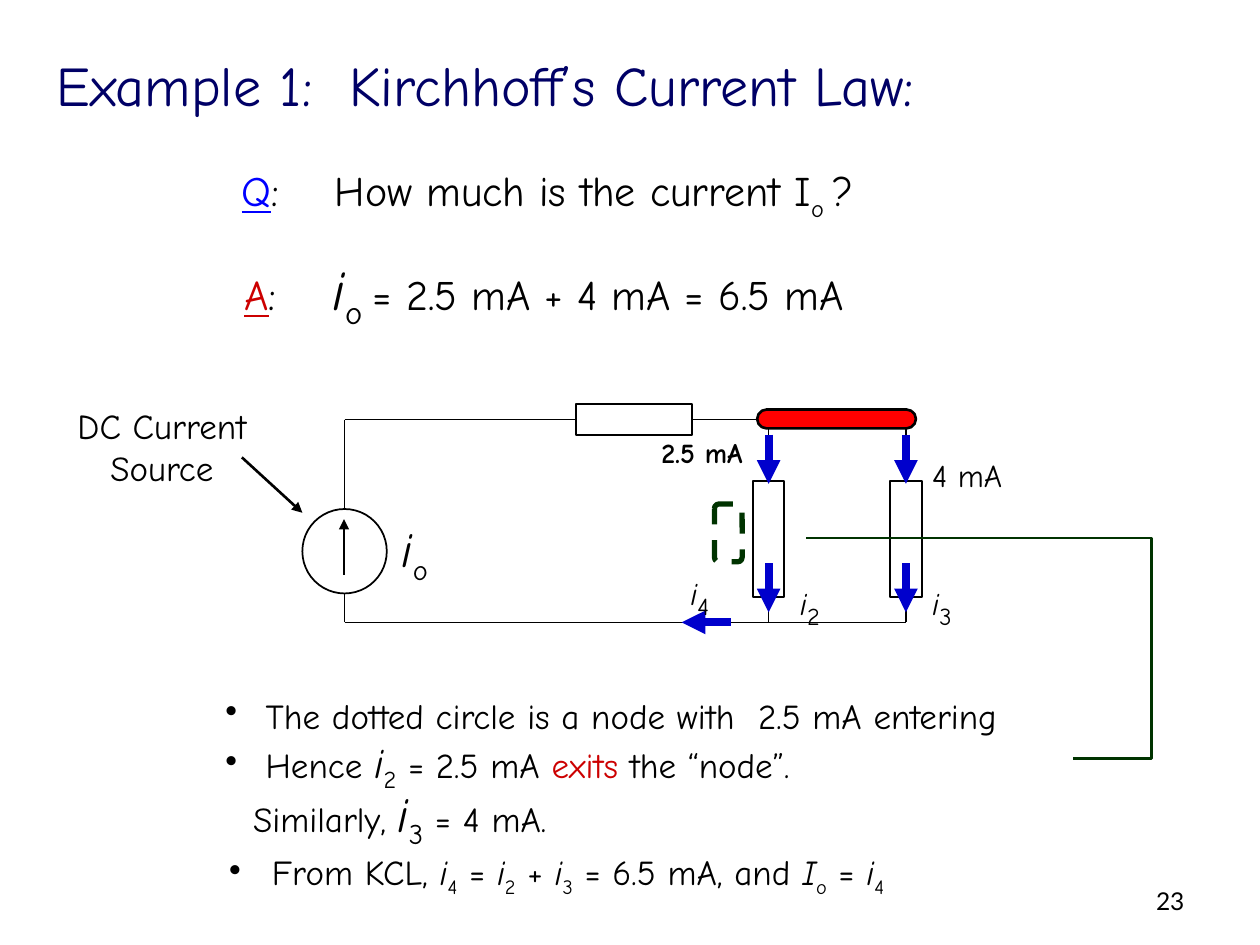
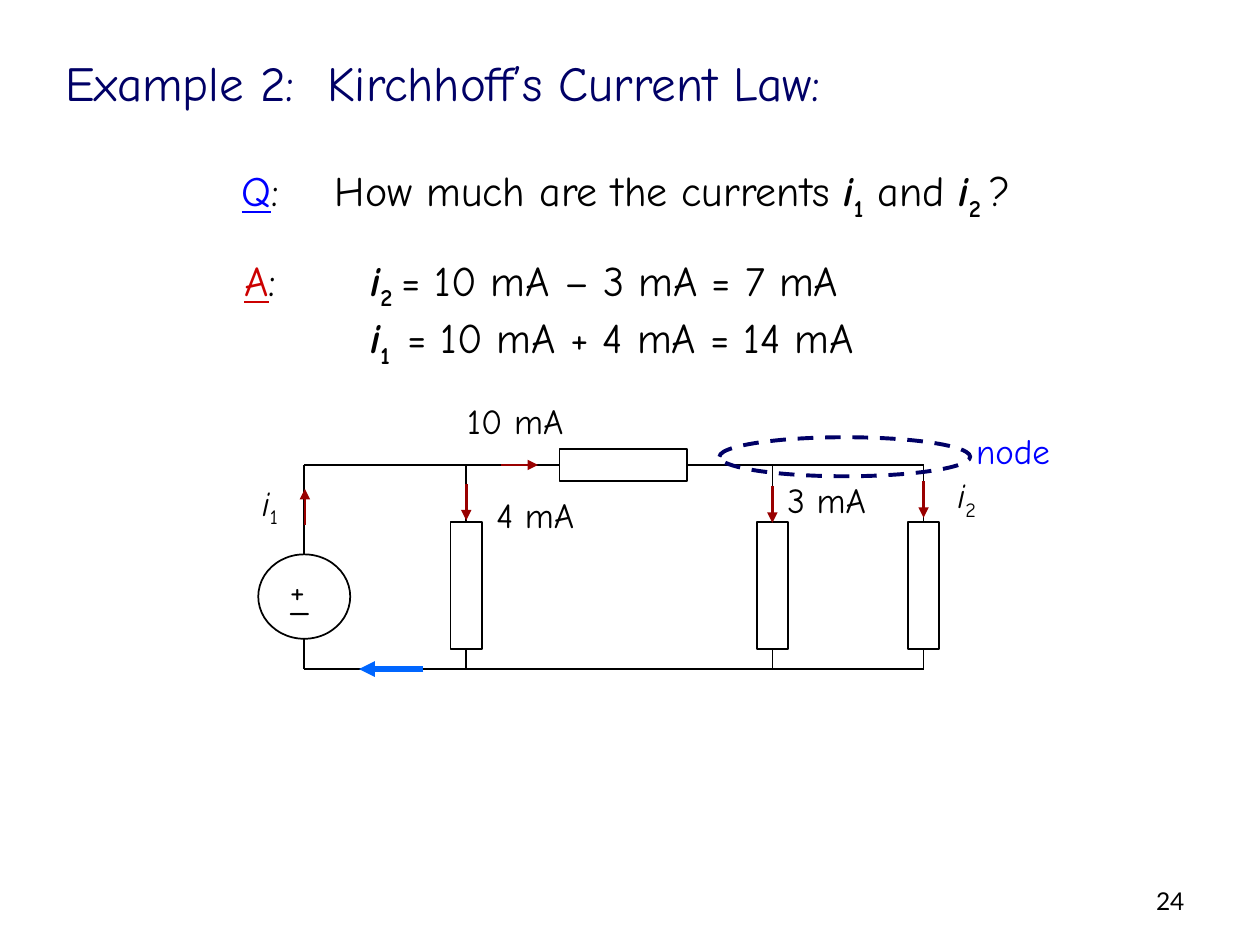
import pptx
import pptx.util
import pptx.dml.color
import pptx.enum.dml
import pptx.enum.shapes
import pptx.enum.text
import pptx.oxml
import pptx.oxml.ns

Inches = pptx.util.Inches
Pt = pptx.util.Pt
qn = pptx.oxml.ns.qn
SHAPE = pptx.enum.shapes.MSO_SHAPE
LINK = pptx.enum.shapes.MSO_CONNECTOR
ALIGN = pptx.enum.text.PP_ALIGN
ANCHOR = pptx.enum.text.MSO_ANCHOR
FIT = pptx.enum.text.MSO_AUTO_SIZE

FACE = "Comic Neue"
BLACK, WHITE, NAVY, BLUE = "000000", "FFFFFF", "000066", "0000FF"
RED, MAROON, GREEN, FLOW = "CC0000", "990000", "003300", "0000CC"
TOP, LEFT, BOTTOM, RIGHT = range(4)
THICK = 0.25  # resistor width


def tint(code):
    return pptx.dml.color.RGBColor.from_string(code)


def add(parent, tag, **attrs):
    node = parent.makeelement(qn(tag), attrs)
    parent.append(node)
    return node


# Text
def text(par, words, size=20, color=BLACK, font=FACE, bold=False,
         italic=False, under=False, sub=False):
    run = par.add_run()
    run.text = words
    style = run.font
    style.name, style.size = font, Pt(size)
    style.bold, style.italic, style.underline = bold, italic, under
    style.color.rgb = tint(color)
    if sub:
        run._r.get_or_add_rPr().set("baseline", "-25000")


def var(par, name, low, size=20, low_size=None, bold=False):
    """Italic symbol with its subscript."""
    text(par, name, size=size, italic=True, bold=bold)
    text(par, low, size=low_size or size, sub=True, bold=bold)


def box(slide, at, align=ALIGN.LEFT, wrap=False):
    """Text box; gives back its first paragraph and its frame."""
    frame = slide.shapes.add_textbox(*map(Inches, at)).text_frame
    frame.word_wrap = wrap
    frame.auto_size = FIT.SHAPE_TO_FIT_TEXT
    frame.paragraphs[0].alignment = align
    return frame.paragraphs[0], frame


def label(slide, at, words, align=ALIGN.LEFT, wrap=False, **style):
    par, frame = box(slide, at, align, wrap)
    text(par, words, **style)
    return frame


def symbol(slide, at, name, low, **style):
    var(box(slide, at)[0], name, low, **style)


def tab(par, stop):
    tabs = add(par._p.get_or_add_pPr(), "a:tabLst")
    add(tabs, "a:tab", pos=str(Inches(stop)), algn="l")


def indent(par, left, dot=True):
    props = par._p.get_or_add_pPr()
    props.set("marL", str(Inches(left)))
    props.set("indent", str(-Inches(left) if dot else 0))
    if dot:
        add(props, "a:buChar", char="•")


def prompt(slide, at, letter, color, stop):
    """Underlined Q or A, then a tab to where the sentence starts."""
    par, frame = box(slide, at, wrap=True)
    tab(par, stop)
    text(par, letter, size=24, color=color, under=True)
    text(par, ":\t", size=24)
    return par, frame


# Shapes and lines
def shape(slide, kind, at, fill=WHITE, line=BLACK, width=1, dash=False):
    item = slide.shapes.add_shape(kind, *map(Inches, at))
    item.shadow.inherit = False
    if fill:
        item.fill.solid()
        item.fill.fore_color.rgb = tint(fill)
    else:
        item.fill.background()
    item.line.color.rgb = tint(line)
    item.line.width = Pt(width)
    if dash:
        item.line.dash_style = pptx.enum.dml.MSO_LINE.DASH
    return item


def wire(slide, start, end, color=BLACK, width=1, head=False,
         kind=LINK.STRAIGHT, first=None, last=None):
    link = slide.shapes.add_connector(kind, *map(Inches, (*start, *end)))
    if first:
        link.begin_connect(*first)
    if last:
        link.end_connect(*last)
    link.line.color.rgb = tint(color)
    link.line.width = Pt(width)
    if head:
        add(link.line._get_or_add_ln(), "a:tailEnd", type="triangle")
    add(link._element.spPr, "a:effectLst")
    return link


def arrow(slide, start, dx=0, dy=0, color=FLOW, width=4.5):
    end = (start[0] + dx, start[1] + dy)
    wire(slide, start, end, color, width, head=True)


# Circuit
def branch(slide, x, rail, base, drop, span):
    """Upright resistor wired to the top and bottom rails."""
    top = rail + drop
    part = shape(slide, SHAPE.RECTANGLE, (x - THICK / 2, top, THICK, span))
    wire(slide, (x, rail), (x, top), last=(part, TOP))
    wire(slide, (x, base), (x, top + span), last=(part, BOTTOM))


def circuit(slide, source, rail, base, series, span, drop, branches):
    left, top, wide, high = source
    mid, right = left + wide / 2, branches[-1]
    shape(slide, SHAPE.OVAL, source)
    wire(slide, (mid, rail), (mid, top))
    wire(slide, (mid, base), (mid, top + high))
    wire(slide, (mid, base), (right, base))
    part = shape(slide, SHAPE.RECTANGLE,
                 (series, rail - THICK / 2, span, THICK))
    wire(slide, (mid, rail), (series, rail), last=(part, LEFT))
    wire(slide, (series + span, rail), (right, rail), first=(part, RIGHT))
    for x in branches:
        branch(slide, x, rail, base, drop, span)


# Title and page number
def page(deck, number, title, at, size):
    slide = deck.slides.add_slide(deck.slide_layouts[5])
    head = slide.shapes.title
    head.left, head.top, head.width, head.height = map(Inches, at)
    frame = head.text_frame
    frame.word_wrap = False
    frame.auto_size = FIT.NONE
    frame.vertical_anchor = ANCHOR.TOP
    frame.paragraphs[0].alignment = ALIGN.LEFT
    text(frame.paragraphs[0], title, size=size, color=NAVY)
    foot = label(slide, (7.17, 6.95, 2.33, 0.4), str(number),
                 align=ALIGN.RIGHT, wrap=True, size=14, font="Lato")
    foot.auto_size = FIT.NONE
    foot.vertical_anchor = ANCHOR.MIDDLE
    return slide


def first(deck):
    slide = page(deck, 23, "Example 1:  Kirchhoff’s Current Law:",
                 (0.35, 0.35, 7.85, 0.64), 32)

    # Question and answer
    par, _ = prompt(slide, (1.82, 1.26, 6.02, 0.5), "Q", BLUE, 0.74)
    text(par, "How much is the current I", size=24)
    text(par, "o ", size=24, sub=True)
    text(par, "?", size=24)
    par, _ = prompt(slide, (1.84, 1.97, 5.83, 0.63), "A", RED, 0.7)
    var(par, "i", "o ", size=32)
    text(par, "= 2.5 mA + 4 mA = 6.5 mA", size=24)

    # Circuit with its red node
    rail, base, near, far = 3.33, 4.94, 6.1, 7.19
    circuit(slide, (2.4, 4.04, 0.67, 0.67), rail, base, series=4.57,
            span=0.92, drop=0.49, branches=(near, far))
    node = shape(slide, SHAPE.ROUNDED_RECTANGLE, (6.01, 3.25, 1.26, 0.15),
                 fill="FF0000", width=1.5)
    node.adjustments[0] = 0.5

    # Currents
    for x in (near, far):
        for y in (3.45, 4.47):
            arrow(slide, (x, y), dy=0.39)
    arrow(slide, (5.8, base), dx=-0.39)
    arrow(slide, (2.73, 4.56), dy=-0.44, color=BLACK, width=1.5)
    label(slide, (5.15, 3.41, 1.01, 0.37), "2.5 mA", size=16, bold=True)
    label(slide, (7.3, 3.57, 0.81, 0.4), "4 mA", size=18)
    for x, y, low in ((5.38, 4.42, "4"), (6.25, 4.5, "2"), (7.3, 4.5, "3")):
        symbol(slide, (x, y, 0.41, 0.51), "i", low, size=18, low_size=24)
    symbol(slide, (3.09, 4.07, 0.45, 0.57), "i", "o", size=28)
    label(slide, (0.14, 3.16, 2.29, 0.77), "DC Current Source",
          align=ALIGN.CENTER, wrap=True)
    arrow(slide, (1.92, 3.63), 0.48, 0.44, color=BLACK, width=1.5)

    # Dashed node and the line to its note
    shape(slide, SHAPE.ROUNDED_RECTANGLE, (5.67, 4, 0.22, 0.46), fill=None,
          line=GREEN, width=3, dash=True)
    bend = wire(slide, (8.52, 6.02), (6.4, 4.27), GREEN, 1.5,
                kind=LINK.ELBOW)
    geom = bend._element.spPr.find(qn("a:prstGeom"))
    guides = geom.find(qn("a:avLst"))
    if guides is None:
        guides = add(geom, "a:avLst")
    add(guides, "a:gd", name="adj1", fmla="val -29300")

    # Notes
    par, frame = box(slide, (1.69, 5.46, 6.84, 0.84), wrap=True)
    indent(par, 0.32)
    text(par, "The dotted circle is a node with  2.5 mA entering")
    par = frame.add_paragraph()
    indent(par, 0.32)
    text(par, "Hence ")
    var(par, "i", "2", size=24)
    text(par, " = 2.5 mA ")
    text(par, "exits", color=RED)
    text(par, " the “node”.")

    par, frame = box(slide, (1.72, 6.17, 5.69, 0.91), wrap=True)
    indent(par, 0.19, dot=False)
    text(par, "Similarly, ")
    var(par, "i", "3", size=28)
    text(par, " = 4 mA.")
    par = frame.add_paragraph()
    indent(par, 0.34)
    for lead, name, low in (("From KCL, ", "i", "4"), (" = ", "i", "2"),
                            (" + ", "i", "3"),
                            (" = 6.5 mA, and ", "I", "o"), (" = ", "i", "4")):
        text(par, lead)
        var(par, name, low)


def second(deck):
    slide = page(deck, 24, "Example 2:  Kirchhoff’s Current Law:",
                 (0.42, 0.37, 6.95, 0.57), 28)

    # Question and answers
    par, _ = prompt(slide, (1.82, 1.26, 7.04, 0.5), "Q", BLUE, 0.74)
    text(par, "How much are the currents ", size=24)
    var(par, "i", "1", size=24, bold=True)
    text(par, " and ", size=24)
    var(par, "i", "2 ", size=24, bold=True)
    text(par, "?", size=24)
    par, frame = prompt(slide, (1.84, 1.97, 5.83, 0.91), "A", RED, 1)
    var(par, "i", "2 ", size=24, bold=True)
    text(par, "= 10 mA – 3 mA = 7 mA", size=24)
    par = frame.add_paragraph()
    tab(par, 1)
    text(par, "\t", size=24)
    var(par, "i", "1  ", size=24, bold=True)
    text(par, "= 10 mA + 4 mA = 14 mA", size=24)

    # Circuit
    rail, base, branches = 3.69, 5.31, (3.7, 6.13, 7.33)
    circuit(slide, (2.05, 4.4, 0.73, 0.67), rail, base, series=4.44,
            span=1.01, drop=0.45, branches=branches)
    label(slide, (2.2, 4.46, 0.34, 0.44), "+")
    label(slide, (2.21, 4.54, 0.38, 0.44), "_")

    # Currents
    thin = {"color": MAROON, "width": 1.5}
    for x, y in zip(branches, (3.84, 3.86, 3.82)):
        arrow(slide, (x, y), dy=0.29, **thin)
    arrow(slide, (2.42, 4.17), dy=-0.29, **thin)
    arrow(slide, (3.98, rail), dx=0.29, **thin)
    arrow(slide, (3.36, base), dx=-0.51, color="0066FF", width=3)
    symbol(slide, (1.98, 3.77, 0.36, 0.43), "i", "1")
    symbol(slide, (7.5, 3.71, 0.39, 0.44), "i", "2")
    label(slide, (3.84, 3.87, 0.88, 0.44), "4 mA")
    label(slide, (3.61, 3.12, 1, 0.43), "10 mA")
    label(slide, (6.15, 3.75, 0.88, 0.44), "3 mA")

    # Node
    shape(slide, SHAPE.OVAL, (5.71, 3.47, 1.99, 0.31), fill=None, line=NAVY,
          width=2.25, dash=True)
    label(slide, (7.63, 3.36, 0.82, 0.43), "node", align=ALIGN.CENTER,
          color=BLUE)


def main():
    deck = pptx.Presentation()
    deck.slide_width, deck.slide_height = Inches(10), Inches(7.5)
    first(deck)
    second(deck)
    deck.save("out.pptx")


if __name__ == "__main__":
    main()
